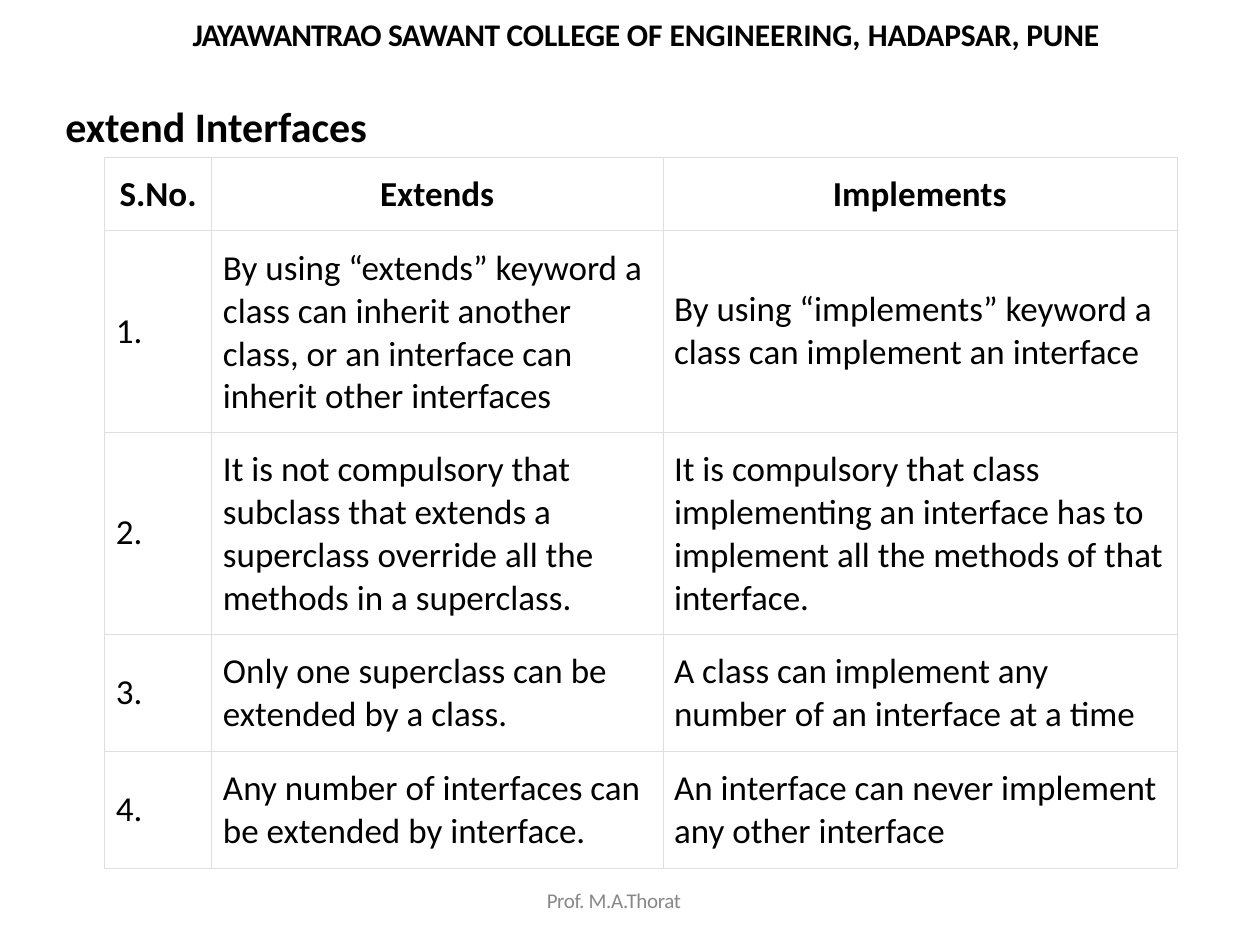
from lxml import etree
from pptx import Presentation
from pptx import util as u
from pptx.dml.color import RGBColor
from pptx.enum import text
from pptx.oxml import ns

BLACK, WHITE, GREY, RULE = "000000", "FFFFFF", "888888", "DFDFDF"
COLUMNS = [0.85, 3.58, 4.08]
ROWS = [0.58, 1.6, 1.6, 0.93, 0.93]
HEADINGS = ["S.No.", "Extends", "Implements"]
COMPARISON = [
    ("By using “extends” keyword a class can inherit another class, or an interface can inherit other interfaces",
     "By using “implements” keyword a class can implement an interface"),
    ("It is not compulsory that subclass that extends a superclass override all the methods in a superclass.",
     "It is compulsory that class implementing an interface has to implement all the methods of that interface."),
    ("Only one superclass can be extended by a class.",
     "A class can implement any number of an interface at a time"),
    ("Any number of interfaces can be extended by interface.",
     "An interface can never implement any other interface"),
]
COLLEGE = [("JAYAWANTRAO ", -0.5), ("SAWANT ", -0.3), ("COLLEGE OF", -0.1),
           (" ENGINEERING, ", 0), ("HADAPSAR, PUNE", -0.1)]


def colour(value):
    return RGBColor.from_string(value)


def set_all(target, values):
    for name, value in values.items():
        setattr(target, name, value)


def margins(left, top, right, bottom):
    sides = zip(("left", "top", "right", "bottom"), (left, top, right, bottom))
    return {f"margin_{side}": u.Inches(size) for side, size in sides}


class SlideBuilder:
    """Draws styled text and tables on the current slide."""

    def __init__(self, page, font="Calibri"):
        self.page = page
        self.font = font

    def add_spans(self, para, spans, size, ink=BLACK, bold=False, **layout):
        set_all(para, layout)
        for words, spacing in spans:
            span = para.add_run()
            span.text = words
            set_all(span.font, {"name": self.font, "size": u.Pt(size), "bold": bold})
            span.font.color.rgb = colour(ink)
            if spacing:
                span._r.get_or_add_rPr().set("spc", str(round(spacing * 100)))

    def textbox(self, place, spans, size, insets=(0.1, 0.05, 0.1, 0.05), wrap=True, **style):
        box = self.page.shapes.add_textbox(*map(u.Inches, place))
        frame = box.text_frame
        set_all(frame, {"word_wrap": wrap, "auto_size": text.MSO_AUTO_SIZE.SHAPE_TO_FIT_TEXT,
                        **margins(*insets)})
        self.add_spans(frame.paragraphs[0], spans, size, **style)

    def borders(self, cell, ink, width):
        properties = cell._tc.get_or_add_tcPr()
        for side in ("lnL", "lnR", "lnT", "lnB"):
            line = etree.SubElement(properties, ns.qn(f"a:{side}"), w=str(u.Pt(width)))
            fill = etree.SubElement(line, ns.qn("a:solidFill"))
            etree.SubElement(fill, ns.qn("a:srgbClr"), val=ink)

    def cell(self, cell, words, insets, **style):
        set_all(cell, {"vertical_anchor": text.MSO_ANCHOR.MIDDLE, **margins(*insets)})
        self.borders(cell, RULE, 0.23)
        cell.fill.solid()
        cell.fill.fore_color.rgb = colour(WHITE)
        self.add_spans(cell.text_frame.paragraphs[0], [(words, 0)], 20, **style)

    def table(self, left, top, columns, rows, headings, records):
        place = map(u.Inches, (left, top, sum(columns), sum(rows)))
        table = self.page.shapes.add_table(len(rows), len(columns), *place).table
        set_all(table, {"first_row": False, "horz_banding": False})
        for column, width in zip(table.columns, columns):
            column.width = u.Inches(width)
        for row, height in zip(table.rows, rows):
            row.height = u.Inches(height)
        for index, heading in enumerate(headings):
            side = 0.09 if index else 0.04
            self.cell(table.cell(0, index), heading, (side, 0.09, side, 0.09),
                      bold=True, alignment=text.PP_ALIGN.CENTER)
        for number, record in enumerate(records, 1):
            for index, words in enumerate((f"{number}.", *record)):
                self.cell(table.cell(number, index), words, (0.09, 0.13, 0.09, 0.13))


def main():
    deck = Presentation()
    set_all(deck, {"slide_width": u.Inches(10), "slide_height": u.Inches(7.5)})
    builder = SlideBuilder(deck.slides.add_slide(deck.slide_layouts[6]))
    builder.textbox((1.52, 0.11, 7.36, 0.33), COLLEGE, 18, insets=(0.01, 0.01, 0, 0),
                    bold=True, space_before=u.Pt(1))
    builder.textbox((0.42, 0.75, 2.62, 0.5), [("extend Interfaces", 0)], 24, wrap=False, bold=True)
    builder.table(0.83, 1.25, COLUMNS, ROWS, HEADINGS, COMPARISON)
    builder.textbox((4.33, 7.07, 1.34, 0.19), [("Prof. M.A.Thorat", -0.2)], 12,
                    insets=(0.01, 0, 0, 0), ink=GREY, line_spacing=u.Pt(12.4))
    deck.save("out.pptx")


if __name__ == "__main__":
    main()
